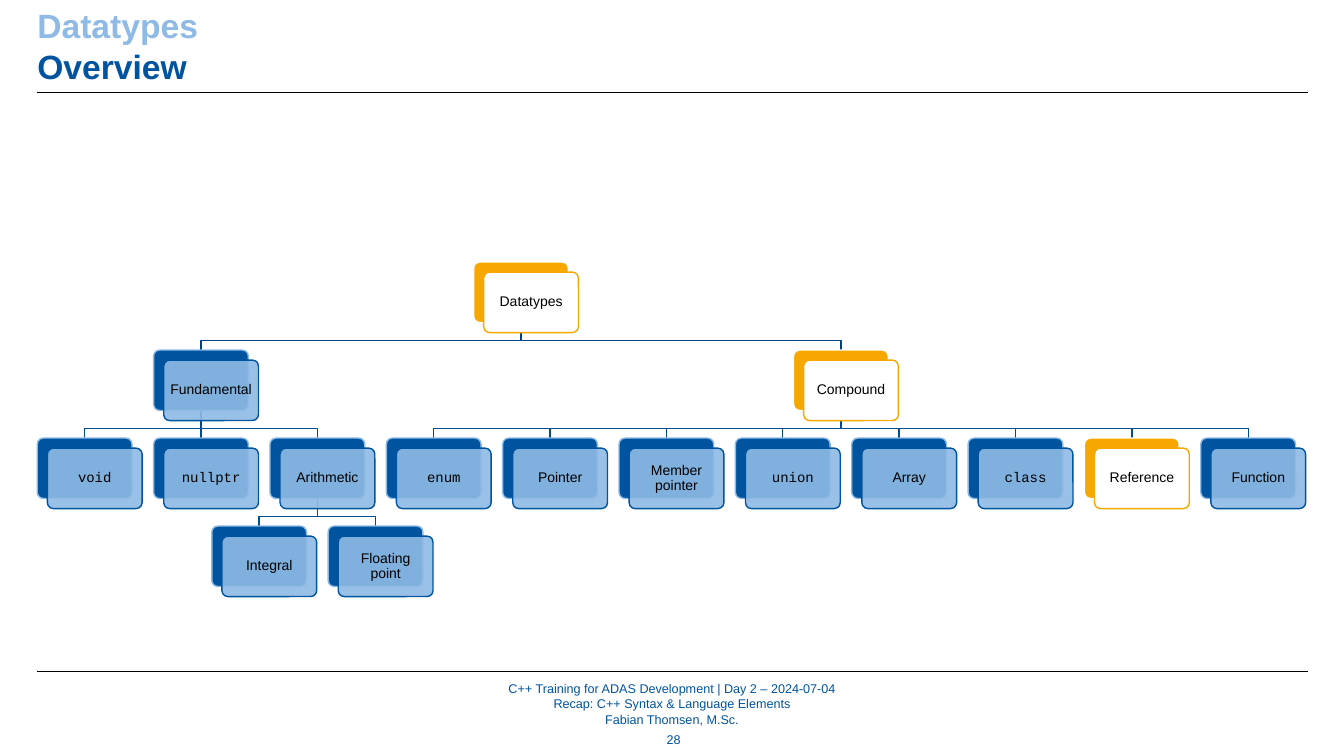
from dataclasses import dataclass
from lxml.etree import SubElement
from pptx import Presentation
from pptx.dml.color import RGBColor
from pptx.enum.shapes import MSO_CONNECTOR, MSO_SHAPE
from pptx.enum.text import MSO_ANCHOR, PP_ALIGN
from pptx.oxml.ns import qn
from pptx.util import Inches, Pt

TITLE = ["Datatypes", "Overview"]
FOOTER = [
    "C++ Training for ADAS Development | Day 2 – 2024-07-04",
    "Recap: C++ Syntax & Language Elements",
    "Fabian Thomsen, M.Sc.",
]
PAGE = "28"
ROOT = "Datatypes"
BRANCHES = {
    "Fundamental": ["void", "nullptr", "Arithmetic"],
    "Compound": ["enum", "Pointer", "Member pointer", "union", "Array",
                 "class", "Reference", "Function"],
}
SUBTYPES = {"Arithmetic": ["Integral", "Floating point"]}
KEYWORDS = {"void", "nullptr", "enum", "union", "class"}
HIGHLIGHTED = {"Datatypes", "Compound", "Reference"}


@dataclass(frozen=True)
class Theme:
    blue: str = "00549F"
    light: str = "8EBAE5"
    orange: str = "F6A800"
    white: str = "FFFFFF"
    black: str = "000000"
    root_link: str = "00437F"
    link: str = "004C90"
    font: str = "Arial"
    code_font: str = "Courier New"
    title: int = 24
    node: int = 10
    footer: int = 9


T = Theme()
LEFT, TOP = 0.37, 2.6
COL, ROW = 1.154, 0.873
BOX_W, BOX_H, OFFSET = 0.94, 0.6, 0.1
ELBOW = 0.18


def rgb(color):
    return RGBColor.from_string(color)


def style(p, size, color, font=T.font, bold=False):
    for r in p.runs:
        r.font.name, r.font.size, r.font.bold = font, Pt(size), bold
        r.font.color.rgb = rgb(color)


def set_margins(tf, inset):
    tf.margin_left = tf.margin_right = tf.margin_top = tf.margin_bottom = Inches(inset)
    tf.word_wrap = True


def add_line(s, x1, y1, x2, y2, color, width):
    line = s.shapes.add_connector(MSO_CONNECTOR.STRAIGHT, Inches(x1), Inches(y1),
                                  Inches(x2), Inches(y2))
    line.line.color.rgb = rgb(color)
    line.line.width = Pt(width)
    SubElement(line._element.spPr, qn("a:effectLst"))


def add_text(s, x, y, w, h, lines, spacing):
    tf = s.shapes.add_textbox(Inches(x), Inches(y), Inches(w), Inches(h)).text_frame
    set_margins(tf, 0)
    tf.vertical_anchor = MSO_ANCHOR.MIDDLE
    tf.text = "\n".join(lines)
    for p in tf.paragraphs:
        p.alignment, p.line_spacing = PP_ALIGN.CENTER, spacing
        style(p, T.footer, T.blue)


def add_title(s):
    sp = s.shapes.title
    sp.left, sp.top, sp.width, sp.height = map(Inches, (LEFT, 0.05, 12.6, 0.81))
    tf = sp.text_frame
    set_margins(tf, 0)
    tf.vertical_anchor = MSO_ANCHOR.BOTTOM
    tf.text = "\n".join(TITLE)
    for i, (p, color) in enumerate(zip(tf.paragraphs, (T.light, T.blue))):
        p.alignment, p.space_before = PP_ALIGN.LEFT, Pt(i)
        style(p, T.title, color, bold=True)


def lay_out():
    """Return (name, column, row) nodes and (parent, child) links of the tree."""
    nodes, links, tops, col = [], [], [], 0
    for branch, kinds in BRANCHES.items():
        center = col + (len(kinds) - 1) / 2
        tops.append(center)
        nodes.append((branch, center, 1))
        links.append((ROOT, branch))
        for kind in kinds:
            nodes.append((kind, col, 2))
            links.append((branch, kind))
            subs = SUBTYPES.get(kind, [])
            for i, sub in enumerate(subs):
                nodes.append((sub, col + i - (len(subs) - 1) / 2, 3))
                links.append((kind, sub))
            col += 1
    nodes.insert(0, (ROOT, sum(tops) / len(tops), 0))
    return nodes, links


def add_link(s, start, end, color):
    x1, y1 = start[0] + BOX_W / 2, start[1] + BOX_H
    x2, y2 = end[0] + BOX_W / 2, end[1]
    if x1 == x2:
        add_line(s, x1, y1, x2, y2, color, 1)
        return
    points = [(x1, y1 + ELBOW), (x2, y1 + ELBOW), (x2, y2)]
    fb = s.shapes.build_freeform(Inches(x1), Inches(y1))
    fb.add_line_segments([(Inches(x), Inches(y)) for x, y in points], close=False)
    sp = fb.convert_to_shape()
    sp.shadow.inherit = False
    sp.fill.background()
    sp.line.color.rgb = rgb(color)
    sp.line.width = Pt(1)


def add_card(s, x, y, fill, line):
    sp = s.shapes.add_shape(MSO_SHAPE.ROUNDED_RECTANGLE, Inches(x), Inches(y),
                            Inches(BOX_W), Inches(BOX_H))
    sp.adjustments[0] = 0.1
    sp.shadow.inherit = False
    sp.fill.solid()
    sp.fill.fore_color.rgb = rgb(fill)
    sp.line.color.rgb = rgb(line)
    sp.line.width = Pt(1)
    return sp


def add_node(s, name, x, y):
    marked = name in HIGHLIGHTED
    dark, pale = (T.orange, T.white) if marked else (T.blue, T.light)
    add_card(s, x, y, dark, pale)
    front = add_card(s, x + OFFSET, y + OFFSET, pale, dark)
    if not marked:
        color = front._element.spPr.find(qn("a:solidFill"))[0]
        SubElement(color, qn("a:alpha"), val="90000")
    tf = front.text_frame
    set_margins(tf, 0.04)
    tf.vertical_anchor = MSO_ANCHOR.MIDDLE
    tf.text = name
    p = tf.paragraphs[0]
    p.alignment, p.line_spacing = PP_ALIGN.CENTER, 0.9
    style(p, T.node, T.black, T.code_font if name in KEYWORDS else T.font)


def main():
    prs = Presentation()
    prs.slide_width, prs.slide_height = Inches(13.33), Inches(7.5)
    s = prs.slides.add_slide(prs.slide_layouts[5])
    add_title(s)
    for y in (0.92, 6.66):
        add_line(s, LEFT, y, 12.97, y, T.black, 0.5)
    add_text(s, 3.43, 6.75, 6.47, 0.46, FOOTER, 1.03)
    add_text(s, 6.42, 7.21, 0.52, 0.26, [PAGE], 1.0)

    nodes, links = lay_out()
    spots = {name: (LEFT + col * COL, TOP + row * ROW) for name, col, row in nodes}
    for parent, child in links:
        color = T.root_link if parent == ROOT else T.link
        add_link(s, spots[parent], spots[child], color)
    for name, (x, y) in spots.items():
        add_node(s, name, x, y)
    prs.save("out.pptx")


if __name__ == "__main__":
    main()
